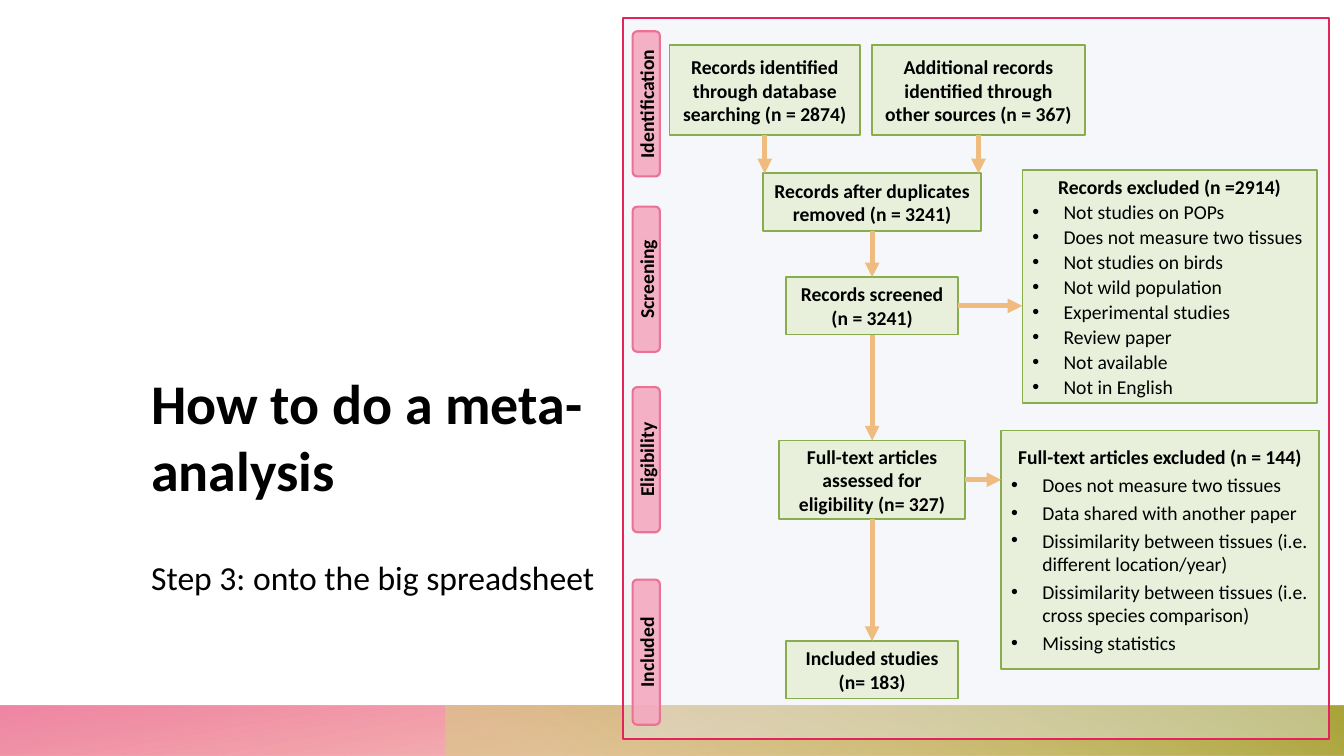
from pptx import Presentation
from pptx.dml.color import RGBColor
from pptx.enum.shapes import MSO_CONNECTOR, MSO_SHAPE
from pptx.enum.text import MSO_ANCHOR, PP_ALIGN
from pptx.oxml.ns import qn
from pptx.util import Inches, Pt
from lxml import etree

RECT, ROUND = MSO_SHAPE.RECTANGLE, MSO_SHAPE.ROUNDED_RECTANGLE
STRAIGHT = MSO_CONNECTOR.STRAIGHT
TOP, MIDDLE, BOTTOM = MSO_ANCHOR.TOP, MSO_ANCHOR.MIDDLE, MSO_ANCHOR.BOTTOM
LEFT, CENTER = PP_ALIGN.LEFT, PP_ALIGN.CENTER
SITE_TOP, SITE_BOTTOM, SITE_RIGHT = 0, 2, 3

ROWS = 75
COLORS = {
    "text": "000000", "panel": "E6ECF3", "frame": "E3235C",
    "box": "E8EFDB", "box_line": "89AC4C", "arrow": "EFBB7F",
    "stage": "F4A9BF", "rose": "ED7095", "coral": "E96150",
    "straw": "D4D081", "olive": "AAA43A",
}


def sub(parent, tag, **attrs):
    el = etree.SubElement(parent, qn(tag))
    for name, value in attrs.items():
        el.set(name, str(value))
    return el


def add_text(p, text, size=14, bold=True, align=CENTER, before=0, spacing=None, bullet=False):
    p.alignment = align
    p.space_before = Pt(before)
    if spacing:
        p.line_spacing = spacing
    if bullet:
        pPr = p._p.get_or_add_pPr()
        pPr.set("marL", str(Inches(0.31)))
        pPr.set("indent", str(-Inches(0.31)))
        sub(pPr, "a:buFont", typeface="Arial")
        sub(pPr, "a:buChar", char="•")
    r = p.add_run()
    r.text = text
    r.font.name = "Calibri"
    r.font.size = Pt(size)
    r.font.bold = bold
    r.font.color.rgb = RGBColor.from_string(COLORS["text"])


class Deck:
    def __init__(self):
        self.prs = Presentation()
        self.prs.slide_width, self.prs.slide_height = Inches(13.33), Inches(7.5)
        self.cell = self.prs.slide_height / ROWS
        self.cols = self.prs.slide_width / self.cell
        self.s = self.prs.slides.add_slide(self.prs.slide_layouts[6])

    def grid(self, *cells):
        return [round(c * self.cell) for c in cells]

    def shape(self, kind, at, fill=None, line=None, width=1.25, alpha=None):
        sp = self.s.shapes.add_shape(kind, *self.grid(*at))
        sp.shadow.inherit = False
        if fill:
            sp.fill.solid()
            sp.fill.fore_color.rgb = RGBColor.from_string(COLORS[fill])
            if alpha:
                clr = sp._element.spPr.find(qn("a:solidFill"))[0]
                sub(clr, "a:alpha", val=alpha * 1000)
        if line:
            sp.line.color.rgb = RGBColor.from_string(COLORS[line])
            sp.line.width = Pt(width)
        else:
            sp.line.fill.background()
        return sp

    def band(self, at, stops, angle, rotation=0):
        sp = self.shape(RECT, at)
        sp.rotation = rotation
        spPr = sp._element.spPr
        spPr.find(qn("a:xfrm")).set("flipH", "1")
        grad = etree.Element(qn("a:gradFill"), rotWithShape="1")
        gsLst = sub(grad, "a:gsLst")
        for pos, color, alpha in stops:
            gs = sub(gsLst, "a:gs", pos=pos * 1000)
            clr = sub(gs, "a:srgbClr", val=COLORS[color])
            sub(clr, "a:alpha", val=alpha * 1000)
        sub(grad, "a:lin", ang=angle * 60000, scaled=0)
        spPr.find(qn("a:prstGeom")).addnext(grad)

    def text(self, at, text, anchor=TOP, **fmt):
        tf = self.s.shapes.add_textbox(*self.grid(*at)).text_frame
        tf.word_wrap = True
        tf.vertical_anchor = anchor
        tf.margin_left = tf.margin_right = tf.margin_top = tf.margin_bottom = 0
        add_text(tf.paragraphs[0], text, align=LEFT, **fmt)

    def box(self, at, heading, items=(), before=0):
        sp = self.shape(RECT, at, "box", "box_line")
        tf = sp.text_frame
        tf.word_wrap = True
        tf.vertical_anchor = MIDDLE
        add_text(tf.paragraphs[0], heading)
        for item in items:
            add_text(tf.add_paragraph(), item, bold=False, align=LEFT, before=before, bullet=True)
        return sp

    def flow_box(self, top, width, height, text, center=86.5):
        return self.box((center - width / 2, top, width, height), text)

    def stage(self, middle, text, center=64.1, length=14.4, depth=2.7):
        at = (center - length / 2, middle - depth / 2, length, depth)
        sp = self.shape(ROUND, at, "stage", "rose", 1.5, alpha=90)
        sp.rotation = 270
        tf = sp.text_frame
        tf.word_wrap = True
        tf.vertical_anchor = MIDDLE
        add_text(tf.paragraphs[0], text)

    def arrow(self, start, target, site=SITE_BOTTOM, join=False):
        if site == SITE_BOTTOM:
            x = start.left + start.width // 2
            points = x, start.top + start.height, x, target.top
        else:
            y = start.top + start.height // 2
            points = start.left + start.width, y, target.left, y
        c = self.s.shapes.add_connector(STRAIGHT, *points)
        c.begin_connect(start, site)
        if join:
            c.end_connect(target, SITE_TOP)
        c.line.color.rgb = RGBColor.from_string(COLORS["arrow"])
        c.line.width = Pt(3.5)
        sub(c.line._get_or_add_ln(), "a:tailEnd", type="triangle")
        sub(c._element.spPr, "a:effectLst")


def main():
    d = Deck()
    d.band((0, 70, d.cols, 5), [(14, "coral", 28), (100, "rose", 85)], 100, rotation=180)
    d.band((44.2, 70, d.cols - 44.2, 5), [(9, "straw", 55), (99, "olive", 100)], 240)
    d.text((15, 18.7, 44.1, 31.2), "How to do a meta-analysis", anchor=BOTTOM, size=40)
    d.text((15, 54.4, 109, 12.2), "Step 3: onto the big spreadsheet",
           size=24, bold=False, before=10, spacing=1.2)
    d.shape(RECT, (61.8, 1.8, 70, 71.5), "panel", "frame", 1.5, alpha=40)

    database = d.box((66.4, 4.5, 18.9, 8.9),
                     "Records identified through database searching (n = 2874)")
    other = d.box((86.5, 4.5, 21.1, 8.9),
                  "Additional records identified through other sources (n = 367)")
    merged = d.flow_box(17.2, 21.6, 5.7, "Records after duplicates removed (n = 3241)")
    screened = d.flow_box(27.5, 17.1, 5.7, "Records screened (n = 3241)")
    assessed = d.flow_box(43.7, 18.4, 7.8, "Full-text articles assessed for eligibility (n= 327)")
    included = d.flow_box(63.6, 17.1, 5.7, "Included studies (n= 183)")
    records_out = d.box((101.4, 16.9, 29.2, 23.1), "Records excluded (n =2914)", [
        "Not studies on POPs", "Does not measure two tissues", "Not studies on birds",
        "Not wild population", "Experimental studies", "Review paper",
        "Not available", "Not in English",
    ], before=1)
    articles_out = d.box((99.3, 42.7, 31.5, 23.7), "Full-text articles excluded (n = 144)", [
        "Does not measure two tissues", "Data shared with another paper",
        "Dissimilarity between tissues (i.e. different location/year)",
        "Dissimilarity between tissues (i.e. cross species comparison)",
        "Missing statistics",
    ], before=3)

    for source in (database, other):
        d.arrow(source, merged)
    steps = [merged, screened, assessed, included]
    for start, target in zip(steps, steps[1:]):
        d.arrow(start, target, join=True)
    for start, target in ((screened, records_out), (assessed, articles_out)):
        d.arrow(start, target, site=SITE_RIGHT)

    for middle, name in ((10.3, "Identification"), (27.7, "Screening"),
                         (45.6, "Eligibility"), (64.7, "Included")):
        d.stage(middle, name)
    d.prs.save("out.pptx")


if __name__ == "__main__":
    main()
